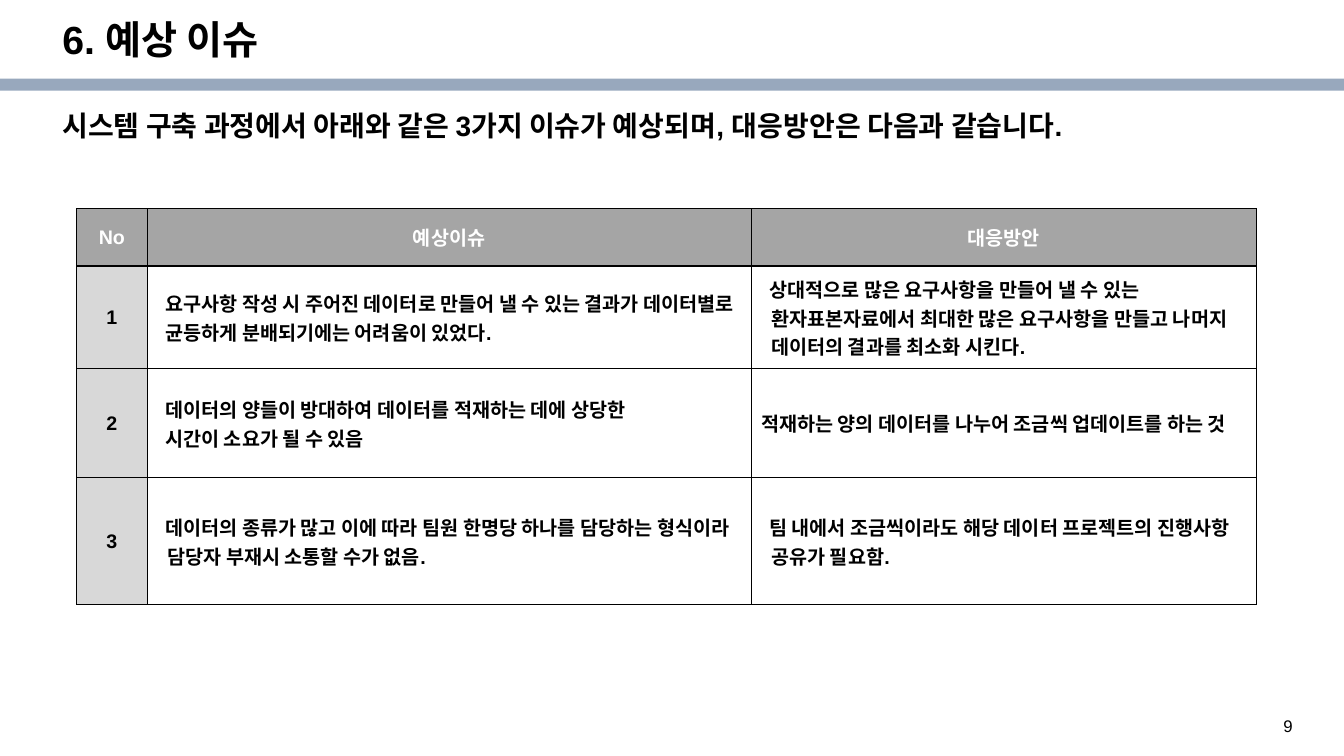
"""Build the expected-issues slide with its table of issues and responses."""
from lxml.etree import SubElement
from pptx import Presentation
from pptx.dml.color import RGBColor
from pptx.enum.shapes import MSO_SHAPE
from pptx.enum.text import MSO_ANCHOR, PP_ALIGN
from pptx.oxml.ns import qn
from pptx.util import Inches, Pt

BLACK = RGBColor(0x00, 0x00, 0x00)
WHITE = RGBColor(0xFF, 0xFF, 0xFF)
BAND_BLUE = RGBColor(0x98, 0xA8, 0xBD)
HEADER_GRAY = RGBColor(0xA5, 0xA5, 0xA5)
NUMBER_GRAY = RGBColor(0xD8, 0xD8, 0xD8)
FONT = "Arial"

TITLE = "6. 예상 이슈"
SUMMARY = "시스템 구축 과정에서 아래와 같은 3가지 이슈가 예상되며, 대응방안은 다음과 같습니다."
PAGE = "9"
HEADERS = ["No", "예상이슈", "대응방안"]
FLUSH, SHIFTED, HANGING = (0, 0), (0.08, 0), (0.1, -0.02)
ISSUES = [
    ((["요구사항 작성 시 주어진 데이터로 만들어 낼 수 있는 결과가 데이터별로 균등하게 "
       "분배되기에는 어려움이 있었다."], SHIFTED),
     (["상대적으로 많은 요구사항을 만들어 낼 수 있는 환자표본자료에서 최대한 많은 "
       "요구사항을 만들고 나머지 데이터의 결과를 최소화 시킨다."], HANGING)),
    ((["데이터의 양들이 방대하여 데이터를 적재하는 데에 상당한",
       "시간이 소요가 될 수 있음"], HANGING),
     (["적재하는 양의 데이터를 나누어 조금씩 업데이트를 하는 것"], FLUSH)),
    ((["데이터의 종류가 많고 이에 따라 팀원 한명당 하나를 담당하는 형식이라 "
       "담당자 부재시 소통할 수가 없음."], HANGING),
     (["팀 내에서 조금씩이라도 해당 데이터 프로젝트의 진행사항 공유가 필요함."], HANGING)),
]
COLUMN_WIDTHS = [0.7, 5.99, 5.01]
ROW_HEIGHTS = [0.57, 1.02, 1.08, 1.26]


def write(paragraph, words, size, color=BLACK, bold=True):
    run = paragraph.add_run()
    run.text = words
    run.font.name, run.font.size, run.font.bold = FONT, Pt(size), bold
    run.font.color.rgb = color


def add_line(box, words, size, anchor=MSO_ANCHOR.TOP, spacing=1.0, bold=True):
    frame = slide.shapes.add_textbox(*map(Inches, box)).text_frame
    frame.word_wrap, frame.vertical_anchor = True, anchor
    frame.paragraphs[0].line_spacing = spacing
    write(frame.paragraphs[0], words, size, bold=bold)


def add_borders(cell):
    properties = cell._tc.get_or_add_tcPr()
    for side in ("a:lnL", "a:lnR", "a:lnT", "a:lnB"):
        border = SubElement(properties, qn(side), w=str(Pt(1)))
        SubElement(SubElement(border, qn("a:solidFill")), qn("a:srgbClr"), val=str(BLACK))


def fill_cell(cell, lines, insets, fill=None, color=BLACK, align=PP_ALIGN.LEFT, indent=FLUSH):
    add_borders(cell)
    if fill is None:
        cell.fill.background()
    else:
        cell.fill.solid()
        cell.fill.fore_color.rgb = fill
    cell.vertical_anchor = MSO_ANCHOR.MIDDLE
    cell.margin_left = cell.margin_right = Inches(insets[0])
    cell.margin_top = cell.margin_bottom = Inches(insets[1])
    frame = cell.text_frame
    for number, line in enumerate(lines):
        paragraph = frame.add_paragraph() if number else frame.paragraphs[0]
        paragraph.alignment = align
        properties = paragraph._p.get_or_add_pPr()
        properties.set("marL", str(Inches(indent[0])))
        properties.set("indent", str(Inches(indent[1])))
        write(paragraph, line, 14, color)


deck = Presentation()
deck.slide_width, deck.slide_height = Inches(13.33), Inches(7.5)
slide = deck.slides.add_slide(deck.slide_layouts[6])

band = slide.shapes.add_shape(MSO_SHAPE.RECTANGLE, 0, Inches(0.78), deck.slide_width, Inches(0.12))
band.shadow.inherit = False
band.fill.solid()
band.fill.fore_color.rgb = BAND_BLUE
band.line.fill.background()

add_line((12.63, 7.05, 0.52, 0.27), PAGE, 12, bold=False)
add_line((0.52, 0.15, 11.5, 0.53), TITLE, 28, MSO_ANCHOR.MIDDLE, 0.9)
add_line((0.52, 1.06, 12.01, 0.71), SUMMARY, 20, spacing=0.9)

issue_table = slide.shapes.add_table(
    len(ROW_HEIGHTS), len(COLUMN_WIDTHS), Inches(0.76), Inches(2.07),
    Inches(sum(COLUMN_WIDTHS)), Inches(sum(ROW_HEIGHTS))).table
issue_table.first_row = issue_table.horz_banding = False
for column, width in zip(issue_table.columns, COLUMN_WIDTHS):
    column.width = Inches(width)
for row, height in zip(issue_table.rows, ROW_HEIGHTS):
    row.height = Inches(height)

for column, header in enumerate(HEADERS):
    fill_cell(issue_table.cell(0, column), [header], (0.1, 0.05), HEADER_GRAY, WHITE, PP_ALIGN.CENTER)
for row, issue in enumerate(ISSUES, start=1):
    fill_cell(issue_table.cell(row, 0), [str(row)], (0.05, 0.05), NUMBER_GRAY, align=PP_ALIGN.CENTER)
    for column, (lines, indent) in enumerate(issue, start=1):
        fill_cell(issue_table.cell(row, column), lines, (0.1, 0.04), indent=indent)

deck.save("out.pptx")
